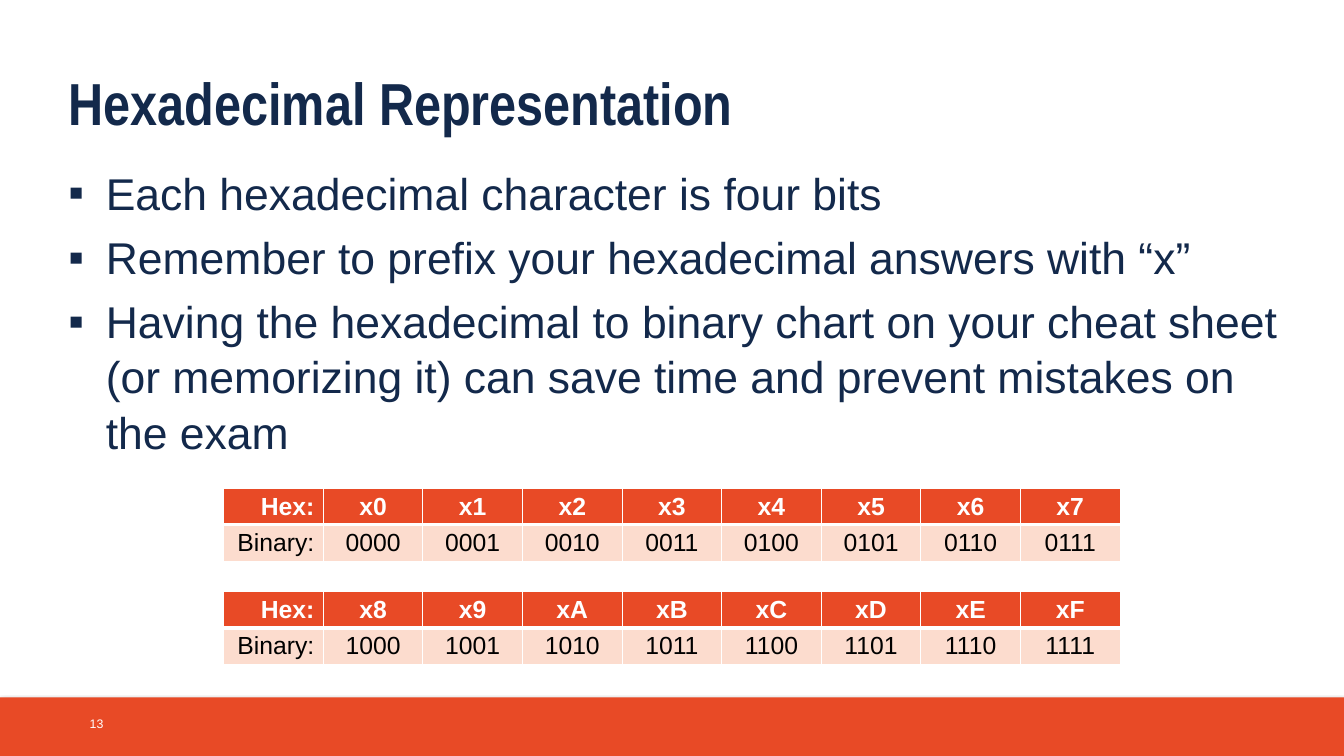
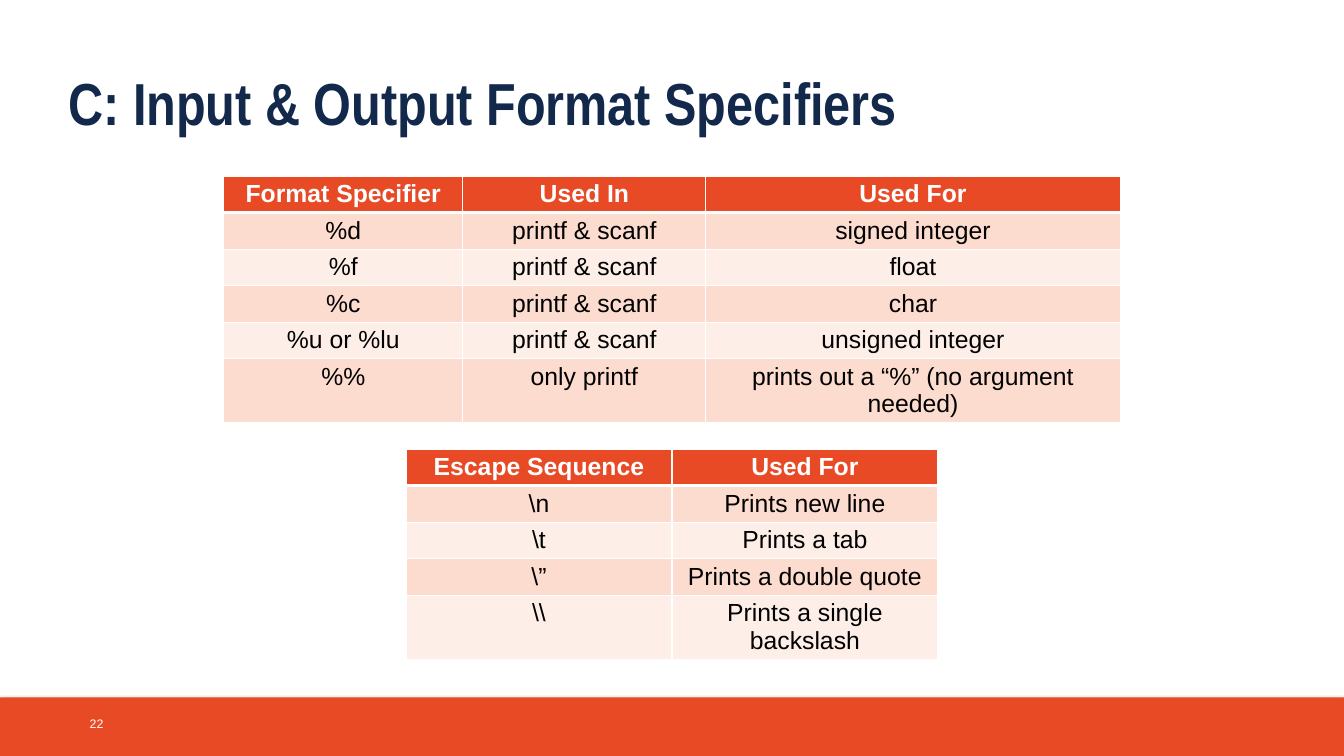
from dataclasses import dataclass

from lxml import etree
from pptx import Presentation
from pptx.dml.color import RGBColor
from pptx.enum import shapes, text
from pptx.oxml import ns
from pptx.util import Inches, Pt

LEFT, MID, RIGHT = text.PP_ALIGN.LEFT, text.PP_ALIGN.CENTER, text.PP_ALIGN.RIGHT


@dataclass(frozen=True)
class Theme:
    navy: str = "13294B"
    brand: str = "E84A26"
    tints: tuple = ("FCDCCE", "FDEEE8")
    white: str = "FFFFFF"
    black: str = "000000"
    font: str = "Arial"
    narrow: str = "Arial Narrow"
    title: int = 48
    body: int = 36
    cell: int = 20
    foot: int = 10
    wide: float = 15.11
    high: float = 8.5
    row: float = 0.41


def add(node, tag, **attrs):
    """Append a DrawingML child to node and return it."""
    return etree.SubElement(node, ns.qn("a:" + tag), {k: str(v) for k, v in attrs.items()})


def place(shape, x, y, w, h):
    shape.left, shape.top, shape.width, shape.height = map(Inches, (x, y, w, h))


def style(par, size, color, font, bold=False, align=LEFT):
    par.alignment = align
    for run in par.runs:
        face = run.font
        face.name, face.size, face.bold = font, Pt(size), bold
        face.color.rgb = RGBColor.from_string(color)


class Deck:
    def __init__(self, theme):
        self.theme = theme
        self.prs = Presentation()
        self.prs.slide_width = Inches(theme.wide)
        self.prs.slide_height = Inches(theme.high)
        self.slide = None

    def start(self, layout, title, number):
        """Begin a slide with its band, title and page number."""
        self.slide = self.prs.slides.add_slide(self.prs.slide_layouts.get_by_name(layout))
        self.band()
        self.title(title)
        self.number(number)

    def band(self):
        t = self.theme
        band = self.slide.shapes.add_shape(
            shapes.MSO_SHAPE.RECTANGLE, 0, Inches(7.84), Inches(t.wide), Inches(0.66))
        band.fill.solid()
        band.fill.fore_color.rgb = RGBColor.from_string(t.brand)
        band.line.fill.background()
        band.shadow.inherit = False
        glow = add(band.element.spPr.find(ns.qn("a:effectLst")), "outerShdw",
                   blurRad=Pt(3.1), dist=Pt(1.8), dir=90 * 60000, rotWithShape=0)
        add(add(glow, "srgbClr", val=t.black), "alpha", val=35000)

    def frame(self, shape, anchor):
        box = shape.text_frame
        box.word_wrap = True
        box.auto_size = text.MSO_AUTO_SIZE.NONE
        box.vertical_anchor = anchor
        return box

    def title(self, words):
        t, shape = self.theme, self.slide.shapes.title
        place(shape, 0.67, 0.69, 13.81, 0.79)
        box = self.frame(shape, text.MSO_ANCHOR.TOP)
        box.text = words
        style(box.paragraphs[0], t.title, t.navy, t.narrow, True)

    def number(self, num):
        t = self.theme
        shape = self.slide.shapes.add_textbox(0, 0, 0, 0)
        place(shape, 0.91, 7.91, 0.58, 0.45)
        box = self.frame(shape, text.MSO_ANCHOR.MIDDLE)
        box.text = str(num)
        style(box.paragraphs[0], t.foot, t.white, t.font)

    def bullets(self, items):
        t, shape = self.theme, self.slide.placeholders[1]
        place(shape, 0.67, 1.79, 13.89, 5.56)
        box = self.frame(shape, text.MSO_ANCHOR.TOP)
        box.text = "\n".join(items)
        for i, par in enumerate(box.paragraphs):
            style(par, t.body, t.navy, t.font)
            par.line_spacing = 1.04
            par.space_before = Pt(7 if i else 0)
            props = par._p.get_or_add_pPr()
            props.set("marL", str(Inches(0.42)))
            props.set("indent", str(-Inches(0.42)))
            add(add(props, "buClr"), "srgbClr", val=t.navy)
            add(props, "buFont", typeface=t.font)
            add(props, "buChar", char="▪")

    def borders(self, cell, top, bottom):
        props = cell._tc.get_or_add_tcPr()
        for side, width in (("L", 1), ("R", 1), ("T", top), ("B", bottom)):
            line = add(props, "ln" + side, w=Pt(width))
            add(add(line, "solidFill"), "srgbClr", val=self.theme.white)

    def table(self, top, widths, rows, first=MID):
        """Draw a centred table; first aligns its first column."""
        t, wide = self.theme, sum(widths)
        grid = self.slide.shapes.add_table(
            len(rows), len(widths), Inches((t.wide - wide) / 2), Inches(top),
            Inches(wide), Inches(t.row * len(rows))).table
        for col, width in zip(grid.columns, widths):
            col.width = Inches(width)
        for r, row in enumerate(rows):
            grid.rows[r].height = Inches(t.row)
            head = r == 0
            fill = t.brand if head else t.tints[(r - 1) % 2]
            for c, words in enumerate(row):
                cell = grid.cell(r, c)
                self.borders(cell, 3 if r == 1 else 1, 3 if head else 1)
                cell.fill.solid()
                cell.fill.fore_color.rgb = RGBColor.from_string(fill)
                cell.text_frame.text = words
                style(cell.text_frame.paragraphs[0], t.cell, t.white if head else t.black,
                      t.font, head, MID if c else first)


def main():
    deck = Deck(Theme())

    deck.start("Title and Content", "Hexadecimal Representation", 13)
    deck.bullets([
        "Each hexadecimal character is four bits",
        "Remember to prefix your hexadecimal answers with “x”",
        "Having the hexadecimal to binary chart on your cheat sheet "
        "(or memorizing it) can save time and prevent mistakes on the exam",
    ])
    for top, low in ((5.49, 0), (6.65, 8)):
        nums = range(low, low + 8)
        deck.table(top, [1.12] * 9, [
            ["Hex:"] + [f"x{n:X}" for n in nums],
            ["Binary:"] + [f"{n:04b}" for n in nums],
        ], RIGHT)

    deck.start("Title Only", "C: Input & Output Format Specifiers", 22)
    both = "printf & scanf"
    deck.table(1.98, [2.69, 2.73, 4.66], [
        ("Format Specifier", "Used In", "Used For"),
        ("%d", both, "signed integer"),
        ("%f", both, "float"),
        ("%c", both, "char"),
        ("%u or %lu", both, "unsigned integer"),
        ("%%", "only printf", "prints out a “%” (no argument needed)"),
    ])
    deck.table(5.05, [2.99, 2.99], [
        ("Escape Sequence", "Used For"),
        (r"\n", "Prints new line"),
        (r"\t", "Prints a tab"),
        (r"\”", "Prints a double quote"),
        (r"\\", "Prints a single backslash"),
    ])

    deck.prs.save("out.pptx")


if __name__ == "__main__":
    main()
